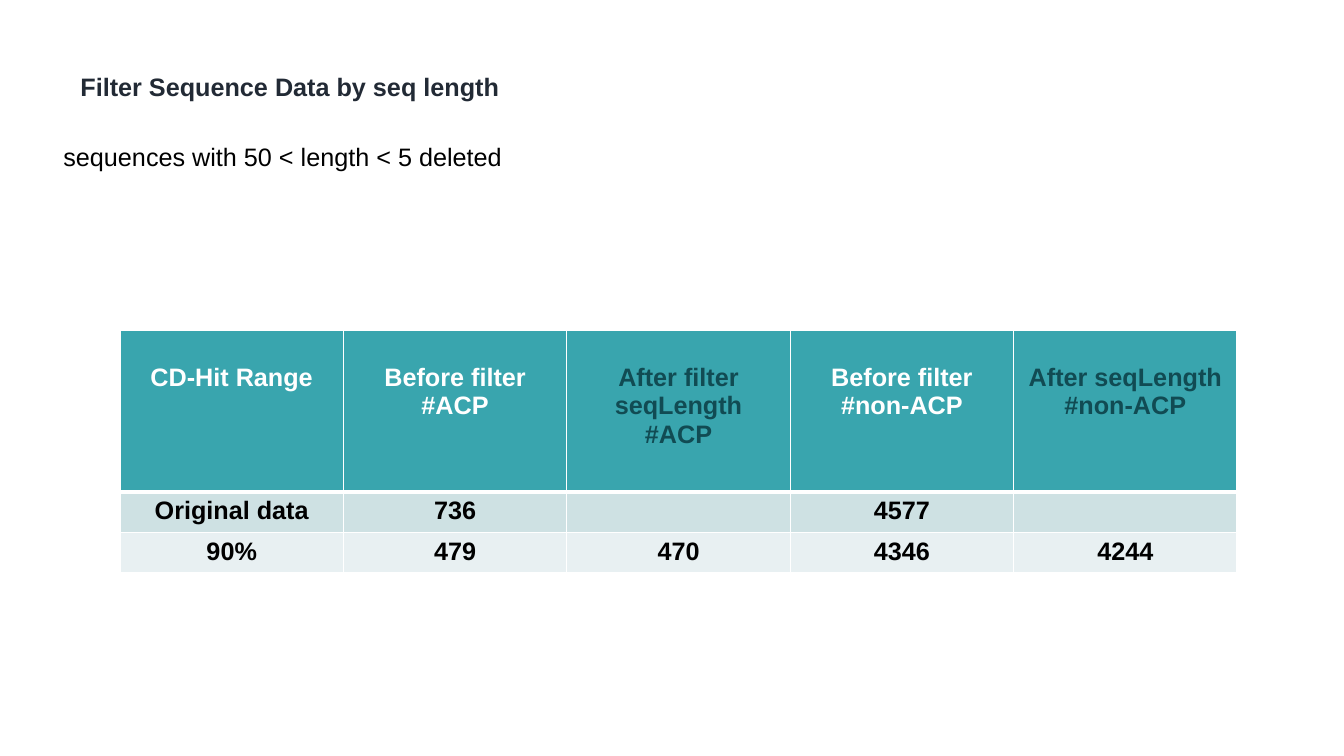
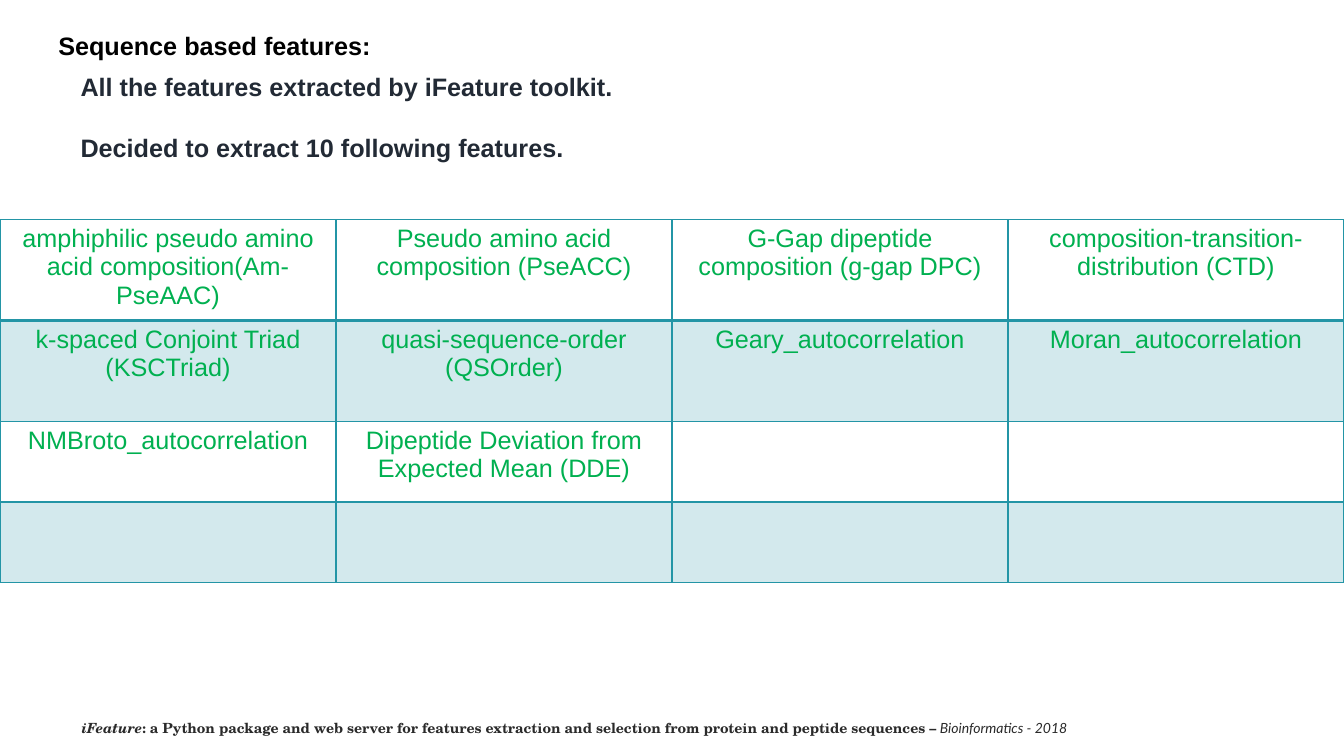
from lxml.etree import SubElement
from pptx import Presentation
from pptx.dml.color import RGBColor
from pptx.enum.text import PP_ALIGN as Align
from pptx.oxml.ns import qn
from pptx.util import Inches, Pt

BLACK, WHITE, SLATE, GRAPHITE = "000000", "FFFFFF", "222A35", "2A2A2A"
TEAL, DEEP_TEAL, GREEN = "2395A6", "114B53", "00B050"
BODY = {"name": "Arial", "size": Pt(18), "bold": False, "italic": False}
STRONG = {**BODY, "bold": True}
CITATION = {"name": "TeX Gyre Schola", "size": Pt(10), "bold": True, "italic": False}


def add_span(para, text, color, formats):
    span = para.add_run()
    span.text = text
    for name, value in formats.items():
        setattr(span.font, name, value)
    span.font.color.rgb = RGBColor.from_string(color)


def add_grid(page, place, heights, rows, fills, border, rule, formats):
    """Add a table of (text, colour) cells, with a thicker rule under its first row."""
    table = page.shapes.add_table(len(rows), len(rows[0]), *map(Inches, place)).table
    table.first_row = table.horz_banding = False
    for row, height in zip(table.rows, heights):
        row.height = Inches(height)
    for r, row in enumerate(rows):
        for c, (text, color) in enumerate(row):
            cell = table.cell(r, c)
            widths = {"L": 1, "R": 1, "T": rule if r == 1 else 1, "B": rule if r == 0 else 1}
            props = cell._tc.get_or_add_tcPr()
            for side, width in widths.items():
                line = SubElement(props, qn(f"a:ln{side}"), w=str(Pt(width)))
                SubElement(SubElement(line, qn("a:solidFill")), qn("a:srgbClr"), val=border)
            cell.fill.solid()
            cell.fill.fore_color.rgb = RGBColor.from_string(fills[r])
            for i, part in enumerate(text.split("\n") if text else []):
                frame = cell.text_frame
                para = frame.add_paragraph() if i else frame.paragraphs[0]
                para.alignment = Align.CENTER
                add_span(para, part, color, formats)
    return table


deck = Presentation()
deck.slide_width, deck.slide_height = Inches(13.33), Inches(7.5)
filter_page, feature_page = [deck.slides.add_slide(deck.slide_layouts[6]) for _ in range(2)]

# Text boxes: page, place, and one list of spans per paragraph
texts = [
    (filter_page, (0.53, 1.35, 11.01, 0.4),
     [[("sequences with 50 < length < 5 deleted", BLACK, BODY)]]),
    (filter_page, (0.7, 0.66, 6.34, 0.4),
     [[("Filter Sequence Data by seq length", SLATE, STRONG)]]),
    (feature_page, (0.7, 0.66, 8.91, 1.01),
     [[("All the features extracted by iFeature toolkit.", SLATE, STRONG)],
      [("Decided to extract 10 following features.", SLATE, STRONG)]]),
    (feature_page, (0.48, 0.25, 7.03, 0.4),
     [[("Sequence based features:", BLACK, STRONG)]]),
    (feature_page, (0.71, 7.09, 11.47, 0.27),
     [[("iFeature", GRAPHITE, {**CITATION, "italic": True}),
       (": a Python package and web server for features extraction and selection "
        "from protein and peptide sequences – ", GRAPHITE, CITATION),
       ("Bioinformatics - 2018", GRAPHITE,
        {**CITATION, "name": "Lato", "bold": False, "italic": True})]]),
]
for page, place, paragraphs in texts:
    frame = page.shapes.add_textbox(*map(Inches, place)).text_frame
    frame.word_wrap = True
    for i, spans in enumerate(paragraphs):
        para = frame.add_paragraph() if i else frame.paragraphs[0]
        para.space_before = Pt(22 if i else 0)
        for span in spans:
            add_span(para, *span)

# Sequence counts before and after the length filter
header = [
    ("CD-Hit Range", WHITE),
    ("Before filter #ACP", WHITE),
    ("After filter seqLength\n#ACP", DEEP_TEAL),
    ("Before filter\n#non-ACP", WHITE),
    ("After seqLength\n#non-ACP", DEEP_TEAL),
]
counts = [
    ["Original data", "736", "", "4577", ""],
    ["90%", "479", "470", "4346", "4244"],
]
rows = [header] + [[(text, BLACK) for text in row] for row in counts]
count_table = add_grid(filter_page, (1.19, 3.28, 11.08, 2.4), (1.6, 0.4, 0.4), rows,
                       ("39A5AE", "CEE1E3", "E8F0F2"), WHITE, 3, STRONG)
for cell in count_table.rows[0].cells:
    cell.margin_top = Inches(0.33)

# Extracted features
features = [
    ["amphiphilic pseudo amino acid composition(Am-PseAAC)",
     "Pseudo amino acid composition (PseACC)",
     "G-Gap dipeptide composition (g-gap DPC)",
     "composition-transition-distribution (CTD)"],
    ["k-spaced Conjoint Triad (KSCTriad)", "quasi-sequence-order (QSOrder)",
     "Geary_autocorrelation", "Moran_autocorrelation"],
    ["NMBroto_autocorrelation", "Dipeptide Deviation from Expected Mean (DDE)", "", ""],
    [""] * 4,
]
rows = [[(text, GREEN) for text in row] for row in features]
add_grid(feature_page, (0, 2.18, 13.33, 3.6), (1, 1, 0.8, 0.8), rows,
         (WHITE, "D3E9ED") * 2, TEAL, 2, BODY)

deck.save("out.pptx")
